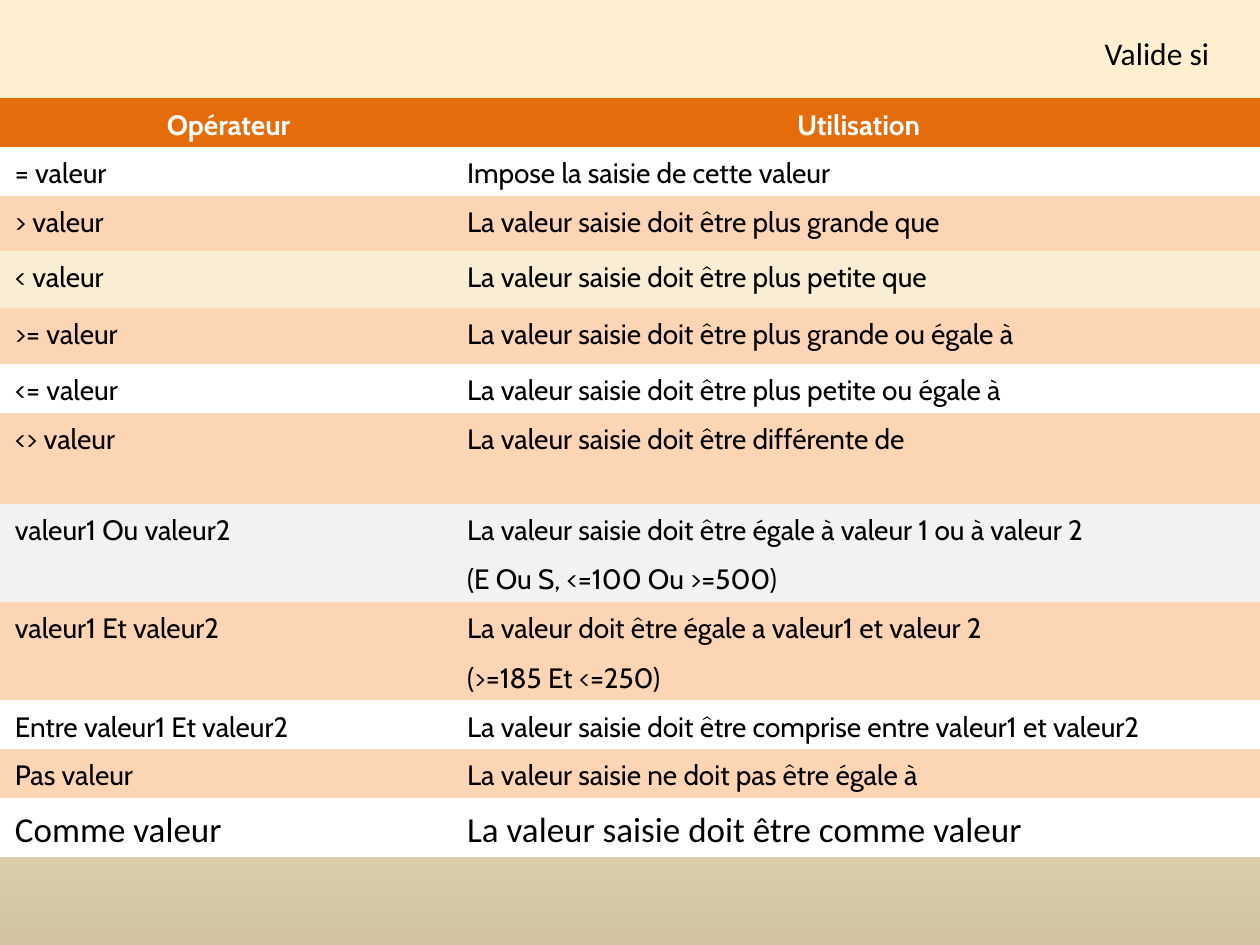
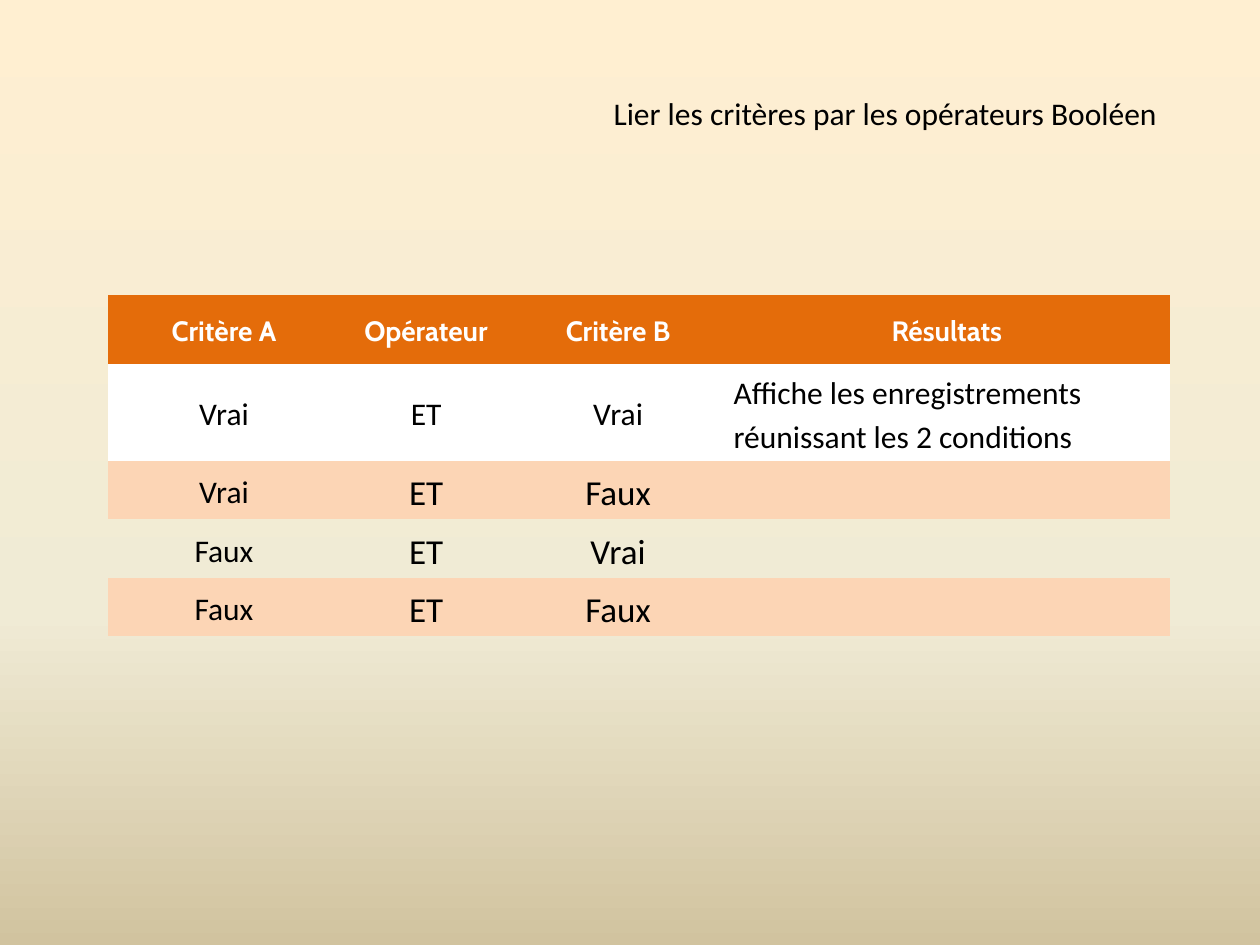
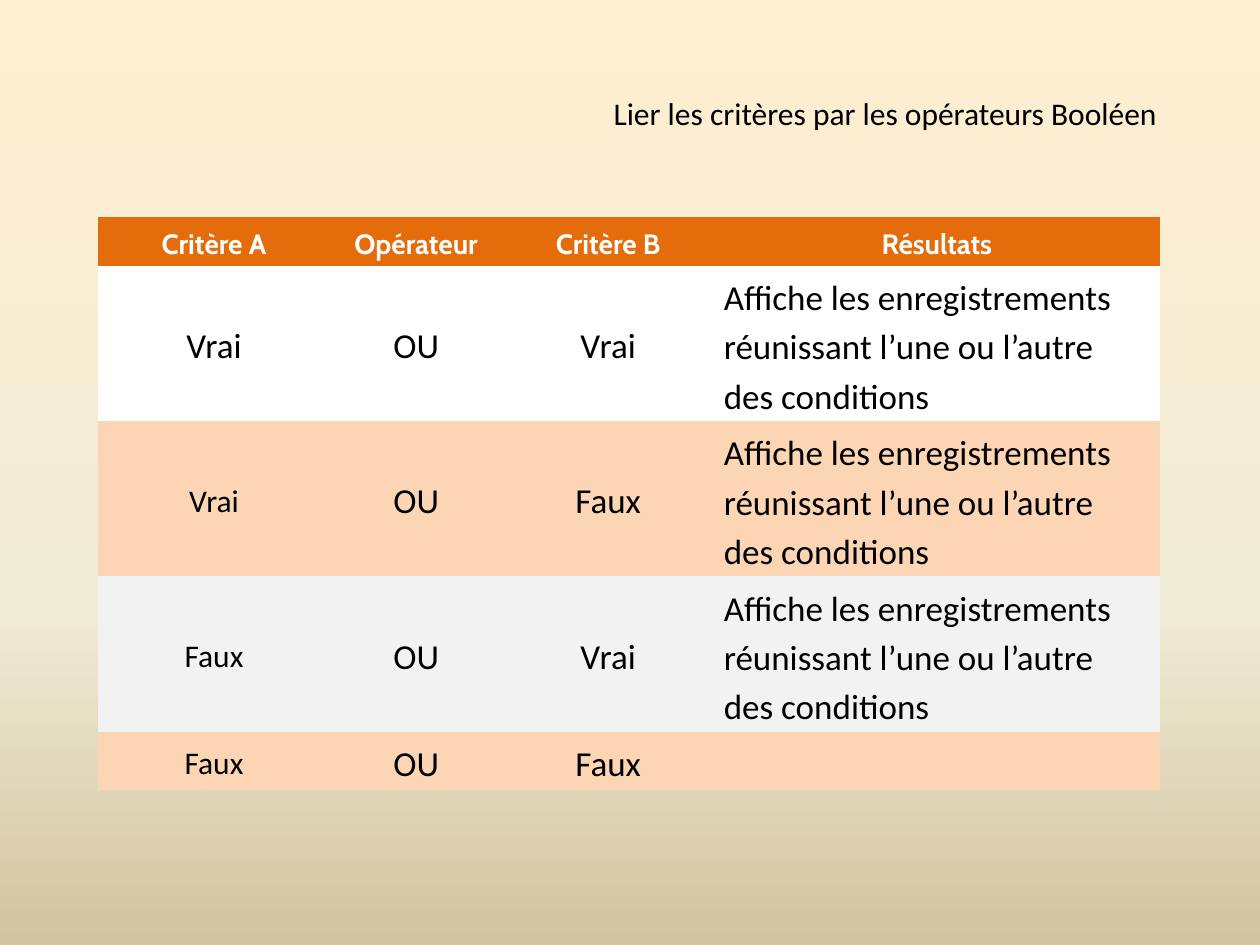
from copy import deepcopy

from pptx import Presentation
from pptx.dml.color import RGBColor
from pptx.enum.text import MSO_ANCHOR as Anchor, MSO_AUTO_SIZE as Auto, PP_ALIGN as Align
from pptx.oxml.ns import qn
from pptx.util import Cm, Pt

ORANGE, PEACH, WHITE, GREY, BLACK = "E46C0A", "FCD5B5", "FFFFFF", "F2F2F2", "000000"
SKY = [(0, "FFEFD1"), (0.65, "F0EBD5"), (1, "D1C39F")]
PLAIN = "{2D5ABB26-0587-4C30-8999-92F81FD0307C}"  # table style without grid
FONTS = {16: "Cabin", 18: "Calibri", 20: "Calibri"}

BOOL = "Lier les critères par les opérateurs Booléen"
BOTH = "Affiche les enregistrements\vréunissant les 2 conditions"
ANY = "Affiche les enregistrements\vréunissant l’une ou l’autre des conditions"
HEADS = ["Critère A", "Opérateur", "Critère B", "Résultats"]
COLS = [4.57, 3.58, 4.16, 9.09]

# Each row: height, fill, size in the first column, size in the others, texts
SLIDES = [
    {
        "title": (BLACK, "Valide si", 22.02, 0.56, 2.64),
        "place": (0, 1.98), "cols": [9.12, 16.28],
        "head": Anchor.BOTTOM, "body": Anchor.TOP, "centred": 0,
        "rows": [
            (0.98, ORANGE, 16, 16, ["Opérateur", "Utilisation"]),
            (0.98, WHITE, 16, 16, ["= valeur", "Impose la saisie de cette valeur"]),
            (1.11, PEACH, 16, 16, ["> valeur", "La valeur saisie doit être plus grande que"]),
            (1.15, None, 16, 16, ["< valeur", "La valeur saisie doit être plus petite que"]),
            (1.13, PEACH, 16, 16, [">= valeur", "La valeur saisie doit être plus grande ou égale à"]),
            (0.98, WHITE, 16, 16, ["<= valeur", "La valeur saisie doit être plus petite ou égale à"]),
            (1.83, PEACH, 16, 16, ["<> valeur", "La valeur saisie doit être différente de"]),
            (1.97, GREY, 16, 16, [
                "valeur1 Ou valeur2",
                "La valeur saisie doit être égale à valeur 1 ou à valeur 2\n(E Ou S, <=100 Ou >=500)"]),
            (1.97, PEACH, 16, 16, [
                "valeur1 Et valeur2",
                "La valeur doit être égale a valeur1 et valeur 2\n(>=185 Et <=250)"]),
            (0.98, WHITE, 16, 16, [
                "Entre valeur1 Et valeur2",
                "La valeur saisie doit être comprise entre valeur1 et valeur2"]),
            (0.98, PEACH, 16, 16, ["Pas valeur", "La valeur saisie ne doit pas être égale à"]),
            (1.19, WHITE, 20, 20, ["Comme valeur", "La valeur saisie doit être comme valeur"]),
        ],
    },
    {
        "title": (BLACK, BOOL, 12.12, 1.78, 11.61),
        "place": (2.18, 5.94), "cols": COLS,
        "head": Anchor.MIDDLE, "body": Anchor.MIDDLE, "centred": 3,
        "rows": [
            (1.39, ORANGE, 16, 16, HEADS),
            (1.96, WHITE, 18, 18, ["Vrai", "ET", "Vrai", BOTH]),
            (1.18, PEACH, 18, 20, ["Vrai", "ET", "Faux", ""]),
            (1.18, None, 18, 20, ["Faux", "ET", "Vrai", ""]),
            (1.18, PEACH, 18, 20, ["Faux", "ET", "Faux", ""]),
        ],
    },
    {
        "title": (BLACK, BOOL, 12.12, 1.78, 11.61),
        "place": (1.98, 4.38), "cols": COLS,
        "head": Anchor.MIDDLE, "body": Anchor.MIDDLE, "centred": 3,
        "rows": [
            (0.98, ORANGE, 16, 16, HEADS),
            (3.13, WHITE, 20, 20, ["Vrai", "OU", "Vrai", ANY]),
            (3.13, PEACH, 18, 20, ["Vrai", "OU", "Faux", ANY]),
            (3.13, GREY, 18, 20, ["Faux", "OU", "Vrai", ANY]),
            (1.18, PEACH, 18, 20, ["Faux", "OU", "Faux", ""]),
        ],
    },
]


def rgb(code):
    return RGBColor.from_string(code)


def style(font, size, color, bold=False):
    font.name, font.size, font.bold = FONTS[size], Pt(size), bold
    font.color.rgb = rgb(color)


def paint_back(master):
    fill = master.background.fill
    fill.gradient()
    fill.gradient_angle = 270
    stops = master.element.find(".//" + qn("a:gsLst"))
    stops.append(deepcopy(stops[0]))
    for stop, (place, color) in zip(fill.gradient_stops, SKY):
        stop.position = place
        stop.color.rgb = rgb(color)


def add_title(slide, color, text, left, top, width):
    frame = slide.shapes.add_textbox(Cm(left), Cm(top), Cm(width), Cm(1.03)).text_frame
    frame.word_wrap = False
    frame.auto_size = Auto.SHAPE_TO_FIT_TEXT
    frame.text = text
    style(frame.paragraphs[0].font, 18, color)


def fill_cell(cell, text, fill, size, anchor, head, centred):
    if fill:
        cell.fill.solid()
        cell.fill.fore_color.rgb = rgb(fill)
    else:
        cell.fill.background()
    cell.margin_left = cell.margin_right = Cm(0.2)
    cell.margin_top = cell.margin_bottom = Cm(0.1)
    cell.vertical_anchor = anchor
    cell.text_frame.text = text
    for par in cell.text_frame.paragraphs:
        par.alignment = Align.CENTER if centred else Align.LEFT
        par.line_spacing = 1.15
        par.space_before = par.space_after = Pt(3)
        par._p.get_or_add_pPr().set("marL", str(Cm(0.1)))
        style(par.font, size, WHITE if head else BLACK, head)


def add_grid(slide, data):
    rows, cols = data["rows"], data["cols"]
    left, top = data["place"]
    high = sum(row[0] for row in rows)
    frame = slide.shapes.add_table(len(rows), len(cols), Cm(left), Cm(top), Cm(sum(cols)), Cm(high))
    table = frame.table
    table.first_row = table.horz_banding = False
    table._tbl.tblPr.find(qn("a:tableStyleId")).text = PLAIN
    for col, width in zip(table.columns, cols):
        col.width = Cm(width)
    for r, (height, fill, first, rest, texts) in enumerate(rows):
        table.rows[r].height = Cm(height)
        head = r == 0
        anchor = data["head" if head else "body"]
        for c, text in enumerate(texts):
            size = rest if c else first
            fill_cell(table.cell(r, c), text, fill, size, anchor, head, head or c < data["centred"])


def main():
    prs = Presentation()
    prs.slide_width, prs.slide_height = Cm(25.4), Cm(19.05)
    paint_back(prs.slide_master)
    for data in SLIDES:
        slide = prs.slides.add_slide(prs.slide_layouts[6])
        add_grid(slide, data)
        add_title(slide, *data["title"])
    prs.save("out.pptx")


if __name__ == "__main__":
    main()
